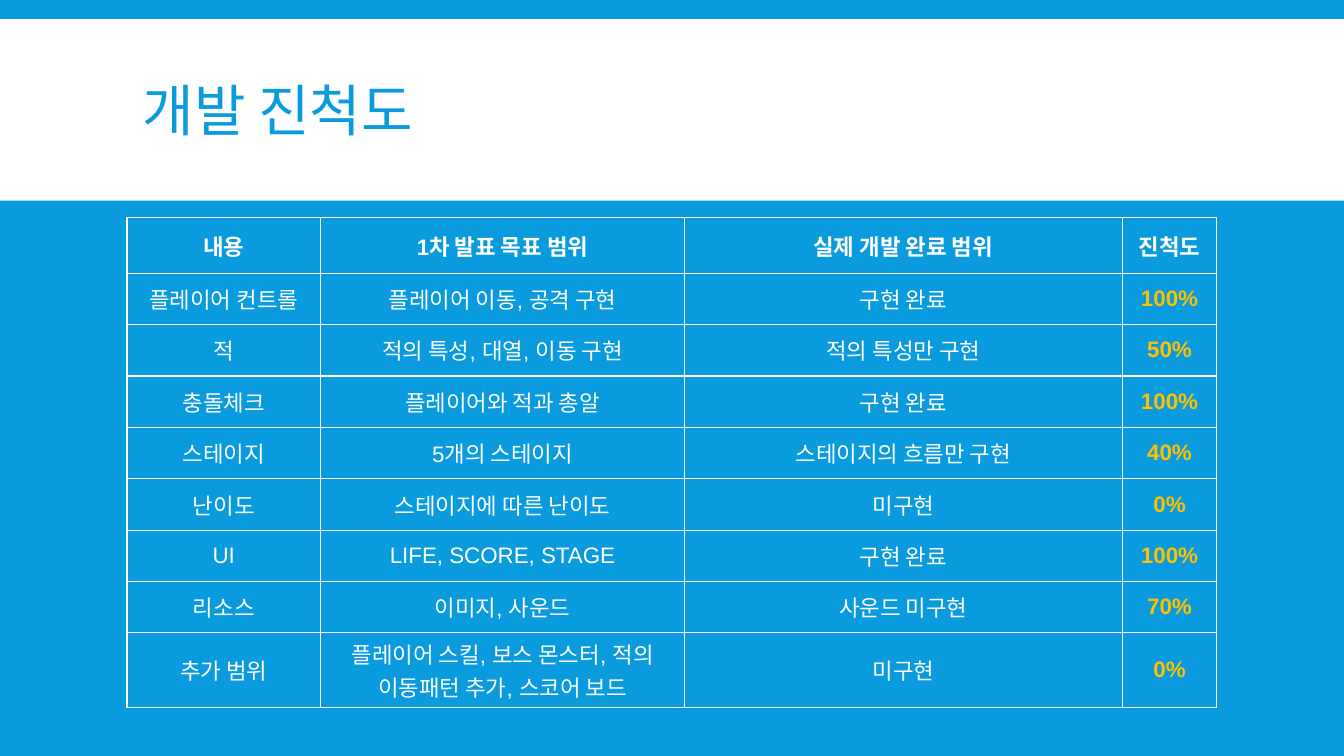
from lxml import etree
from pptx import Presentation
from pptx.dml.color import RGBColor
from pptx.enum.shapes import MSO_SHAPE
from pptx.enum.text import MSO_ANCHOR, PP_ALIGN
from pptx.oxml.ns import qn
from pptx.util import Inches, Pt

BLUE = RGBColor(0x09, 0x9B, 0xDD)
WHITE = RGBColor(0xFF, 0xFF, 0xFF)
GOLD = RGBColor(0xFF, 0xC0, 0x00)
RECT = MSO_SHAPE.RECTANGLE
MIDDLE = MSO_ANCHOR.MIDDLE
CENTER = PP_ALIGN.CENTER

COL_WIDTHS = [1.92, 3.61, 4.34, 0.94]
ROW_HEIGHTS = [0.55] + [0.51] * 7 + [0.74]
PROGRESS = [
    ("내용", "1차 발표 목표 범위", "실제 개발 완료 범위", "진척도"),
    ("플레이어 컨트롤", "플레이어 이동, 공격 구현", "구현 완료", "100%"),
    ("적", "적의 특성, 대열, 이동 구현", "적의 특성만 구현", "50%"),
    ("충돌체크", "플레이어와 적과 총알", "구현 완료", "100%"),
    ("스테이지", "5개의 스테이지", "스테이지의 흐름만 구현", "40%"),
    ("난이도", "스테이지에 따른 난이도", "미구현", "0%"),
    ("UI", "LIFE, SCORE, STAGE", "구현 완료", "100%"),
    ("리소스", "이미지, 사운드", "사운드 미구현", "70%"),
    ("추가 범위", "플레이어 스킬, 보스 몬스터, 적의 이동패턴 추가, 스코어 보드",
     "미구현", "0%"),
]


def add_run(p, text, font, size, color, bold=False):
    r = p.add_run()
    r.text = text
    r.font.name = font
    r.font.size = Pt(size)
    r.font.bold = bold
    r.font.color.rgb = color


def set_borders(cell, color, width):
    tcPr = cell._tc.get_or_add_tcPr()
    for i, side in enumerate(("a:lnL", "a:lnR", "a:lnT", "a:lnB")):
        ln = etree.Element(qn(side), w=str(Pt(width)))
        fill = etree.SubElement(ln, qn("a:solidFill"))
        etree.SubElement(fill, qn("a:srgbClr"), val=str(color))
        tcPr.insert(i, ln)  # borders come before the cell fill


def add_header(s, x, y, w, h, title):
    # White band
    band = s.shapes.add_shape(RECT, Inches(x), Inches(y), Inches(w), Inches(h))
    band.shadow.inherit = False
    band.fill.solid()
    band.fill.fore_color.rgb = WHITE
    band.line.fill.background()

    # Title
    sp = s.shapes.add_textbox(Inches(x + 1.32), Inches(y + 0.12),
                              Inches(w - 2.63), Inches(h - 0.15))
    tf = sp.text_frame
    tf.word_wrap = True
    tf.vertical_anchor = MIDDLE
    p = tf.paragraphs[0]
    p.line_spacing = 0.85
    add_run(p, title, "Lato", 40, BLUE)


def add_progress_table(s, x, y, rows):
    frame = s.shapes.add_table(len(rows), len(COL_WIDTHS), Inches(x), Inches(y),
                               Inches(sum(COL_WIDTHS)), Inches(sum(ROW_HEIGHTS)))
    table = frame.table
    table.horz_banding = False
    for col, width in zip(table.columns, COL_WIDTHS):
        col.width = Inches(width)
    for row, height in zip(table.rows, ROW_HEIGHTS):
        row.height = Inches(height)

    for i, row in enumerate(rows):
        for j, text in enumerate(row):
            cell = table.cell(i, j)
            cell.fill.background()
            cell.vertical_anchor = MIDDLE
            set_borders(cell, WHITE, 1)
            p = cell.text_frame.paragraphs[0]
            p.alignment = CENTER
            is_header = i == 0
            is_percent = not is_header and j == len(row) - 1
            add_run(p, text, "Arial", 16, GOLD if is_percent else WHITE,
                    bold=is_header or is_percent)


prs = Presentation()
prs.slide_width = Inches(13.33)
prs.slide_height = Inches(7.5)
s = prs.slides.add_slide(prs.slide_layouts[6])
s.background.fill.solid()
s.background.fill.fore_color.rgb = BLUE

add_header(s, 0, 0.19, 13.33, 1.8, "개발 진척도")
add_progress_table(s, 1.26, 2.16, PROGRESS)

prs.save("out.pptx")
